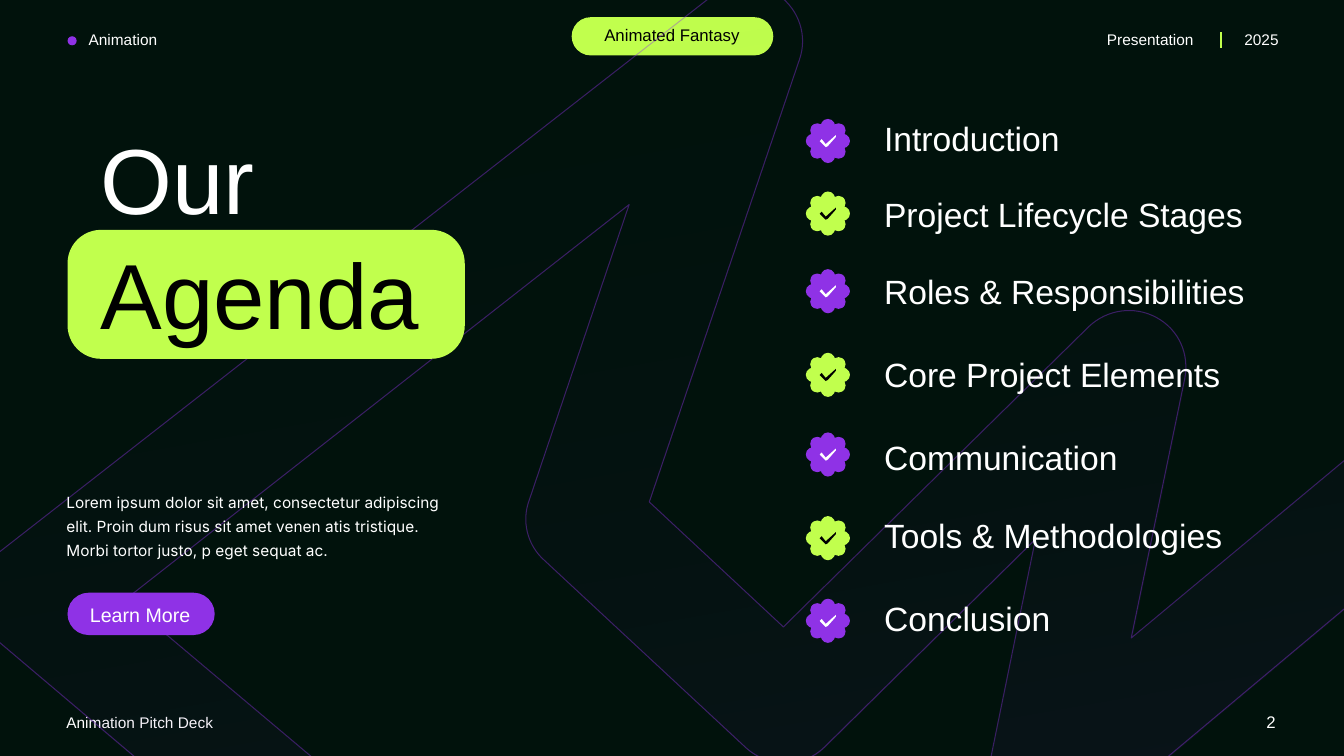
import math

import pptx
import pptx.dml.color
import pptx.enum.shapes
import pptx.enum.text
import pptx.oxml.ns
import pptx.util
from lxml import etree

Inches = pptx.util.Inches
qn = pptx.oxml.ns.qn
SHAPE = pptx.enum.shapes.MSO_SHAPE
ALIGN = pptx.enum.text.PP_ALIGN

NIGHT, LIME, PURPLE, WHITE, BLACK = "01120C", "C1FF4D", "8F32E6", "FFFFFF", "000000"

# Label, text top and badge centre, measured down from the top of the agenda
AGENDA = [
    ("Introduction", 0, 0.28),
    ("Project Lifecycle Stages", 0.75, 1),
    ("Roles & Responsibilities", 1.52, 1.77),
    ("Core Project Elements", 2.34, 2.6),
    ("Communication", 3.17, 3.39),
    ("Tools & Methodologies", 3.94, 4.22),
    ("Conclusion", 4.76, 5.04),
]

CHECK = [(0.08, -0.06), (-0.02, 0.03), (-0.06, -0.02), (-0.08, 0),
         (-0.02, 0.06), (0, 0.05), (0.08, -0.04)]

# Two numbers are a corner; six are the control points and end of a curve
RIBBON = [
    (2.23, 9.35), (0.64, 9.35), (1.94, 8.02), (-0.02, 6.36),
    (-0.15, 6.25, -0.23, 6.09, -0.22, 5.92), (-0.22, 5.75, -0.14, 5.59, -0.01, 5.48),
    (7.05, -0.03),
    (7.15, -0.11, 7.27, -0.15, 7.39, -0.15), (7.51, -0.15, 7.63, -0.12, 7.72, -0.05),
    (7.93, 0.1, 8.01, 0.36, 7.93, 0.59),
    (6.44, 4.98), (7.77, 6.22), (10.8, 3.24),
    (10.98, 3.07, 11.25, 3.03, 11.47, 3.15), (11.69, 3.27, 11.8, 3.51, 11.75, 3.76),
    (11.22, 6.33), (13.56, 4.38), (13.56, 5.85), (10.71, 8.24),
    (10.52, 8.4, 10.26, 8.42, 10.05, 8.3), (9.84, 8.17, 9.74, 7.93, 9.79, 7.7),
    (10.27, 5.35), (8.18, 7.41),
    (7.97, 7.62, 7.62, 7.62, 7.4, 7.42),
    (5.4, 5.56),
    (5.23, 5.41, 5.17, 5.17, 5.25, 4.96),
    (6.24, 2.03), (1.24, 5.95), (3.14, 7.55),
    (3.26, 7.65, 3.33, 7.8, 3.34, 7.96), (3.34, 8.11, 3.29, 8.27, 3.18, 8.38),
]


def color(value):
    return pptx.dml.color.RGBColor.from_string(value)


def add_text(slide, box, runs, size, align=ALIGN.LEFT, font="Arial", spacing=None):
    """Add one paragraph made of (text, colour) runs."""
    text_box = slide.shapes.add_textbox(*map(Inches, box))
    frame = text_box.text_frame
    frame.word_wrap = True
    frame.auto_size = pptx.enum.text.MSO_AUTO_SIZE.SHAPE_TO_FIT_TEXT
    paragraph = frame.paragraphs[0]
    paragraph.alignment = align
    paragraph.font.name = font
    paragraph.font.size = pptx.util.Pt(size)
    if spacing:
        paragraph.line_spacing = spacing
    for text, run_color in runs:
        run = paragraph.add_run()
        run.text = text
        run.font.color.rgb = color(run_color)


def paint(shape, fill):
    shape.shadow.inherit = False
    shape.fill.solid()
    shape.fill.fore_color.rgb = color(fill)
    shape.line.fill.background()


def add_preset(slide, kind, box, fill, rounding=None):
    shape = slide.shapes.add_shape(kind, *map(Inches, box))
    paint(shape, fill)
    if rounding is not None:
        shape.adjustments[0] = rounding


def add_outline(slide, points):
    points = [(Inches(x), Inches(y)) for x, y in points]
    builder = slide.shapes.build_freeform(*points[0])
    builder.add_line_segments(points[1:], close=True)
    return builder.convert_to_shape()


def segments(shape):
    return list(shape.element.spPr.iter(qn("a:lnTo")))


def set_alpha(color_element, percent):
    alpha = etree.SubElement(color_element, qn("a:alpha"))
    alpha.set("val", str(percent * 1000))


def add_ribbon(slide):
    ribbon = add_outline(slide, [part[-2:] for part in RIBBON])
    for segment, part in zip(segments(ribbon), RIBBON[1:]):
        if len(part) == 6:
            segment.tag = qn("a:cubicBezTo")
            for index in (0, 1):
                control = etree.Element(qn("a:pt"))
                control.set("x", str(Inches(part[2 * index]) - ribbon.left))
                control.set("y", str(Inches(part[2 * index + 1]) - ribbon.top))
                segment.insert(index, control)
    ribbon.shadow.inherit = False
    ribbon.fill.gradient()
    ribbon.fill.gradient_angle = 280
    for stop, value in zip(ribbon.fill.gradient_stops, (NIGHT, PURPLE)):
        stop.color.rgb = color(value)
    for stop, percent in zip(ribbon.element.spPr.iter(qn("a:gs")), (0, 9)):
        set_alpha(stop[0], percent)
    ribbon.line.width = pptx.util.Pt(0.75)
    ribbon.line.color.rgb = color(PURPLE)
    set_alpha(ribbon.element.spPr.find(qn("a:ln")).find(".//" + qn("a:srgbClr")), 40)


def add_header(slide, left, top):
    add_text(slide, (left + 0.11, top, 1.28, 0.29), [("Animation", WHITE)], 11)
    add_preset(slide, SHAPE.OVAL, (left, top + 0.11, 0.09, 0.09), PURPLE)
    add_text(slide, (left + 10.21, top, 1.16, 0.29), [("Presentation", WHITE)], 11)
    add_text(slide, (left + 11.49, top, 0.62, 0.29), [("2025", WHITE)], 11, ALIGN.RIGHT)
    x = Inches(left + 11.44)
    divider = slide.shapes.add_connector(
        pptx.enum.shapes.MSO_CONNECTOR.STRAIGHT, x, Inches(top + 0.07), x, Inches(top + 0.23))
    divider.line.color.rgb = color(LIME)
    divider.line.width = pptx.util.Pt(1)
    etree.SubElement(divider.element.spPr, qn("a:effectLst"))
    add_preset(slide, SHAPE.ROUNDED_RECTANGLE, (left + 5, top - 0.08, 2, 0.38), LIME, 0.5)
    add_text(slide, (left + 5.19, top - 0.05, 1.61, 0.3),
             [("Animated Fantasy", BLACK)], 12, ALIGN.CENTER)


def add_footer(slide, left, top):
    add_text(slide, (left + 11.51, top, 0.68, 0.3), [("2", WHITE)], 12, ALIGN.RIGHT)
    add_text(slide, (left, top + 0.02, 2.65, 0.29), [("Animation Pitch Deck", WHITE)], 11)


def add_title(slide, left, top):
    add_preset(slide, SHAPE.ROUNDED_RECTANGLE, (left, top + 1.16, 3.94, 1.28), LIME, 0.26)
    add_text(slide, (left + 0.23, top, 3.82, 2.32),
             [("Our ", WHITE), ("Agenda", BLACK)], 66, spacing=1.04)


def add_intro(slide, left, top):
    intro = ("Lorem ipsum dolor sit amet, consectetur adipiscing elit. Proin dum risus sit amet "
             "venen atis tristique. Morbi tortor justo, p eget sequat ac.")
    add_text(slide, (left, top, 4.15, 0.8), [(intro, WHITE)], 11, font="Inter", spacing=1.3)
    add_preset(slide, SHAPE.ROUNDED_RECTANGLE, (left + 0.11, top + 1.09, 1.46, 0.42), PURPLE, 0.5)
    add_text(slide, (left + 0.23, top + 1.14, 1.2, 0.34),
             [("Learn More", WHITE)], 14, ALIGN.CENTER)


def add_badge(slide, x, y, fill, check_color):
    """Draw an eight-lobed badge with a check mark, centred on x, y."""
    valley, tip, lobe_radius, half_sweep = 0.18, 0.22, 0.07, 77
    points = []
    for index in range(17):
        angle = math.radians(22.5 * (index - 1))
        radius = tip if index % 2 else valley
        points.append((x + radius * math.cos(angle), y + radius * math.sin(angle)))
    badge = add_outline(slide, points)
    for index, segment in enumerate(segments(badge)[:16]):
        start = index // 2 * 45 - (half_sweep if index % 2 == 0 else 0)
        segment.tag = qn("a:arcTo")
        segment.remove(segment[0])
        segment.set("wR", str(Inches(lobe_radius)))
        segment.set("hR", str(Inches(lobe_radius)))
        segment.set("stAng", str(start % 360 * 60000))
        segment.set("swAng", str(half_sweep * 60000))
    paint(badge, fill)
    paint(add_outline(slide, [(x + dx, y + dy) for dx, dy in CHECK]), check_color)


def add_agenda(slide, left, top):
    for index, (label, text_top, badge_center) in enumerate(AGENDA):
        fill, check_color = [(PURPLE, WHITE), (LIME, BLACK)][index % 2]
        add_text(slide, (left + 0.68, top + text_top, 4.1, 0.5), [(label, WHITE)], 24)
        add_badge(slide, left + 0.22, top + badge_center, fill, check_color)


def main():
    presentation = pptx.Presentation()
    presentation.slide_width = Inches(13.33)
    presentation.slide_height = Inches(7.5)
    slide = presentation.slides.add_slide(presentation.slide_layouts[6])
    slide.background.fill.solid()
    slide.background.fill.fore_color.rgb = color(NIGHT)
    add_header(slide, 0.67, 0.25)
    add_footer(slide, 0.56, 7.01)
    add_ribbon(slide)
    add_title(slide, 0.67, 1.12)
    add_intro(slide, 0.56, 4.79)
    add_agenda(slide, 7.99, 1.12)
    presentation.save("out.pptx")


if __name__ == "__main__":
    main()
